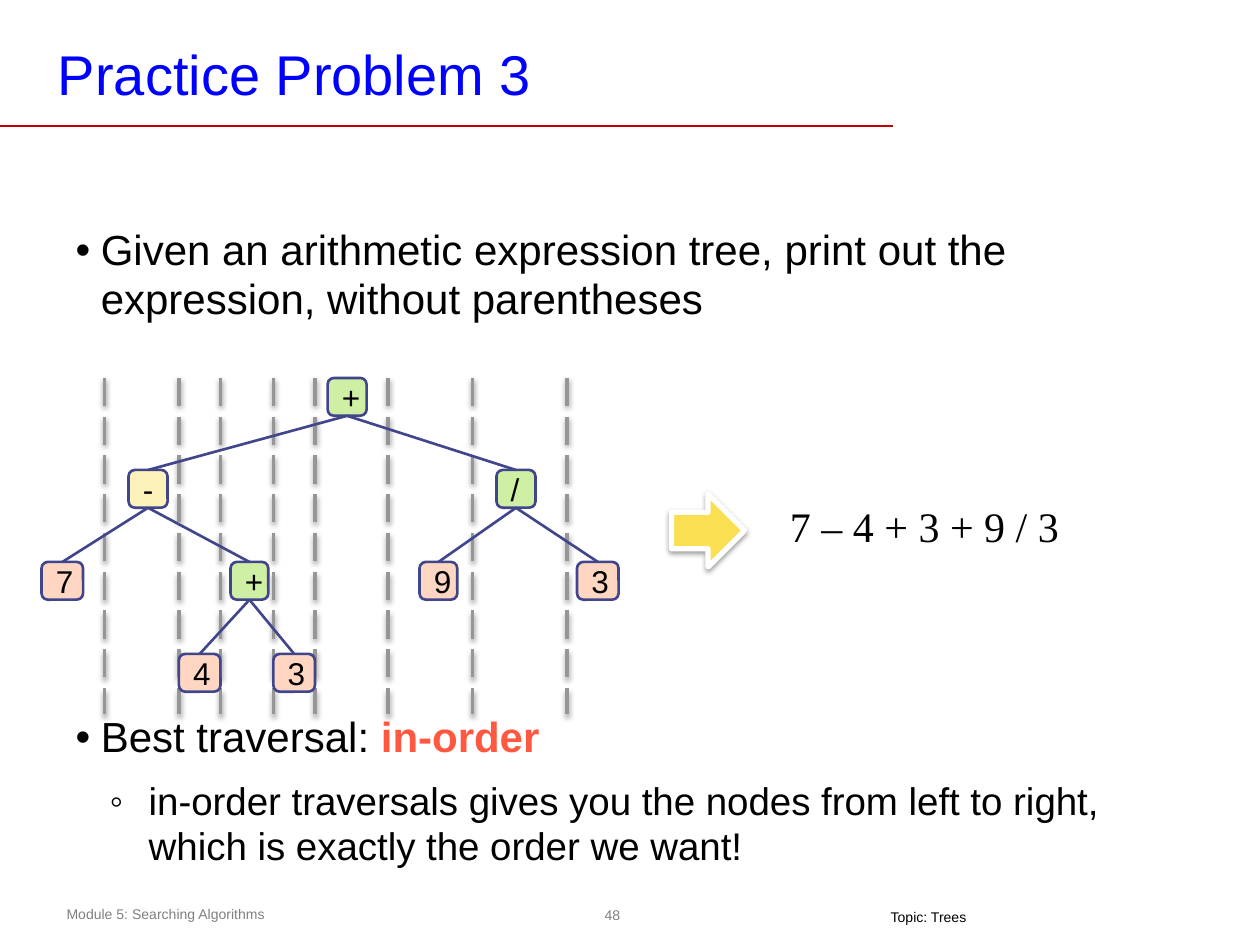
from lxml import etree
from pptx import Presentation
from pptx.dml.color import RGBColor
from pptx.enum.dml import MSO_LINE
from pptx.enum.shapes import MSO_CONNECTOR, MSO_SHAPE
from pptx.enum.text import MSO_ANCHOR, MSO_AUTO_SIZE, PP_ALIGN
from pptx.oxml import parse_xml
from pptx.oxml.ns import nsdecls, qn
from pptx.util import Inches, Pt

STRAIGHT = MSO_CONNECTOR.STRAIGHT
LEFT, CENTER = PP_ALIGN.LEFT, PP_ALIGN.CENTER
MIDDLE = MSO_ANCHOR.MIDDLE
NO_FIT = MSO_AUTO_SIZE.NONE
LONG_DASH = MSO_LINE.LONG_DASH
BOTTOM_SIDE, TOP_SIDE = 2, 0

BLACK = RGBColor(0x00, 0x00, 0x00)
WHITE = RGBColor(0xFF, 0xFF, 0xFF)
BLUE = RGBColor(0x00, 0x00, 0xFF)
GRAY = RGBColor(0x80, 0x80, 0x80)
DASH_GRAY = RGBColor(0x96, 0x96, 0x96)
DARK_RED = RGBColor(0xC0, 0x00, 0x00)
CORAL = RGBColor(0xFF, 0x58, 0x40)
YELLOW = RGBColor(0xFB, 0xDF, 0x53)
INDIGO = RGBColor(0x40, 0x45, 0x8C)
GREEN = RGBColor(0xCF, 0xEF, 0xA4)
CREAM = RGBColor(0xFD, 0xF2, 0xBA)
PEACH = RGBColor(0xFF, 0xD6, 0xC2)

SOFT_SHADOW = (
    f'<a:effectLst {nsdecls("a")}><a:outerShdw blurRad="39370" dist="20320" dir="5400000" '
    'rotWithShape="0"><a:srgbClr val="000000"><a:alpha val="38000"/></a:srgbClr>'
    '</a:outerShdw></a:effectLst>'
)
NO_SHADOW = f'<a:effectLst {nsdecls("a")}/>'


def add_run(para, text, size, color, font="Arial", bold=False):
    span = para.add_run()
    span.text = text
    span.font.size = Pt(size)
    span.font.name = font
    span.font.bold = bold
    span.font.color.rgb = color


def style_line(shape, color, width, effect=NO_SHADOW):
    """Set the outline, then the effect, which must follow it in the XML."""
    shape.line.color.rgb = color
    shape.line.width = Pt(width)
    shape._element.spPr.append(parse_xml(effect))


deck = Presentation()
deck.slide_width, deck.slide_height = Inches(10), Inches(7.5)
page = deck.slides.add_slide(deck.slide_layouts[1])
shapes = page.shapes

# Title and the rule below it
title = shapes.title
title.left, title.top = Inches(0.39), Inches(0.28)
title.width, title.height = Inches(7.42), Inches(0.6)
frame = title.text_frame
frame.margin_left = frame.margin_right = Inches(0.07)
frame.margin_top = frame.margin_bottom = Inches(0.03)
frame.auto_size = NO_FIT
frame.paragraphs[0].alignment = LEFT
add_run(frame.paragraphs[0], "Practice Problem 3", 32, BLUE)
rule = shapes.add_connector(STRAIGHT, 0, Inches(1), Inches(7.09), Inches(1))
style_line(rule, DARK_RED, 1)

# Bulleted text; the second bullet leaves room for the tree
body = page.placeholders[1]
body.left, body.top = Inches(0.5), Inches(1.75)
body.width, body.height = Inches(9), Inches(5.75)
frame = body.text_frame
frame.auto_size = NO_FIT
bullets = [
    # level, bullet, margin, hanging, space before, size, runs
    (0, "•", 0.2, 0.2, 0, 24, [("Given an arithmetic expression tree, print out the "
                                "expression, without parentheses", BLACK, False)]),
    (0, "•", 0.2, 0.2, 222, 24, [("Best traversal: ", BLACK, False),
                                 ("in-order", CORAL, True)]),
    (1, "◦", 0.58, 0.31, 10, 22, [("in-order traversals gives you the nodes from left to "
                                   "right, which is exactly the order we want!", BLACK, False)]),
]
for index, (level, mark, margin, hanging, gap, size, runs) in enumerate(bullets):
    para = frame.add_paragraph() if index else frame.paragraphs[0]
    properties = para._p.get_or_add_pPr()
    properties.set("marL", str(Inches(margin)))
    properties.set("indent", str(-Inches(hanging)))
    etree.SubElement(properties, qn("a:buFont"), typeface="Arial")
    etree.SubElement(properties, qn("a:buChar"), char=mark)
    para.level = level
    para.line_spacing = 0.97
    para.space_before = Pt(gap)
    for text, color, bold in runs:
        add_run(para, text, size, color, bold=bold)

# Arrow to the resulting expression
arrow = shapes.add_shape(MSO_SHAPE.RIGHT_ARROW, Inches(5.33), Inches(3.92),
                         Inches(0.58), Inches(0.58))
arrow.fill.solid()
arrow.fill.fore_color.rgb = YELLOW
style_line(arrow, WHITE, 3, SOFT_SHADOW)

# Dashed guides between the nodes
for x in (0.83, 1.42, 1.75, 2.17, 2.5, 3.08, 3.75, 4.5):
    guide = shapes.add_connector(STRAIGHT, Inches(x), Inches(3), Inches(x), Inches(5.67))
    guide.line.dash_style = LONG_DASH
    style_line(guide, DASH_GRAY, 2, SOFT_SHADOW)

# Expression tree: name, symbol, left, row, width, fill, parent
tree = [
    ("root", "+", 2.6, 0, 0.31, GREEN, None),
    ("minus", "-", 1.02, 1, 0.31, CREAM, "root"),
    ("divide", "/", 3.94, 1, 0.31, GREEN, "root"),
    ("seven", "7", 0.33, 2, 0.33, PEACH, "minus"),
    ("plus", "+", 1.83, 2, 0.3, GREEN, "minus"),
    ("nine", "9", 3.33, 2, 0.3, PEACH, "divide"),
    ("divisor", "3", 4.58, 2, 0.33, PEACH, "divide"),
    ("four", "4", 1.42, 3, 0.33, PEACH, "plus"),
    ("three", "3", 2.17, 3, 0.33, PEACH, "plus"),
]
nodes = {}
for name, symbol, left, row, width, fill, parent in tree:
    node = shapes.add_shape(MSO_SHAPE.ROUNDED_RECTANGLE, Inches(left),
                            Inches(3 + 0.73 * row), Inches(width), Inches(0.3))
    node.fill.solid()
    node.fill.fore_color.rgb = fill
    style_line(node, INDIGO, 1.5)
    frame = node.text_frame
    frame.word_wrap = False
    frame.vertical_anchor = MIDDLE
    frame.paragraphs[0].alignment = LEFT
    add_run(frame.paragraphs[0], symbol, 18, BLACK)
    nodes[name] = node
    if parent:
        edge = shapes.add_connector(STRAIGHT, 0, 0, 0, 0)
        edge.begin_connect(nodes[parent], BOTTOM_SIDE)
        edge.end_connect(node, TOP_SIDE)
        style_line(edge, INDIGO, 1.5)

# Expression and footer texts: text, position, size, font, colour, top inset
labels = [
    ("7 – 4 + 3 + 9 / 3", 6.17, 3.92, 2.75, 0.5, 24, "Times New Roman", BLACK, 0.05),
    ("Module 5: Searching Algorithms", 0.43, 7.14, 3.64, 0.24, 8, "Arial", GRAY, 0.05),
    ("Topic: Trees", 6.97, 7.21, 0.81, 0.17, 8, "Arial", BLACK, 0),
]
for text, left, top, width, height, size, font, color, inset in labels:
    box = shapes.add_textbox(Inches(left), Inches(top), Inches(width), Inches(height))
    box.text_frame.word_wrap = True
    box.text_frame.margin_top = Inches(inset)
    add_run(box.text_frame.paragraphs[0], text, size, color, font)

# Page number
number = shapes.add_shape(MSO_SHAPE.OVAL, Inches(4.74), Inches(7.13),
                          Inches(0.24), Inches(0.26))
number.fill.background()
number.line.fill.background()
number.shadow.inherit = False
frame = number.text_frame
frame.word_wrap = False
frame.vertical_anchor = MIDDLE
frame.margin_left = frame.margin_right = Inches(0.04)
frame.margin_top = frame.margin_bottom = Inches(0.04)
frame.paragraphs[0].alignment = CENTER
add_run(frame.paragraphs[0], "48", 8, GRAY)

deck.save("out.pptx")
